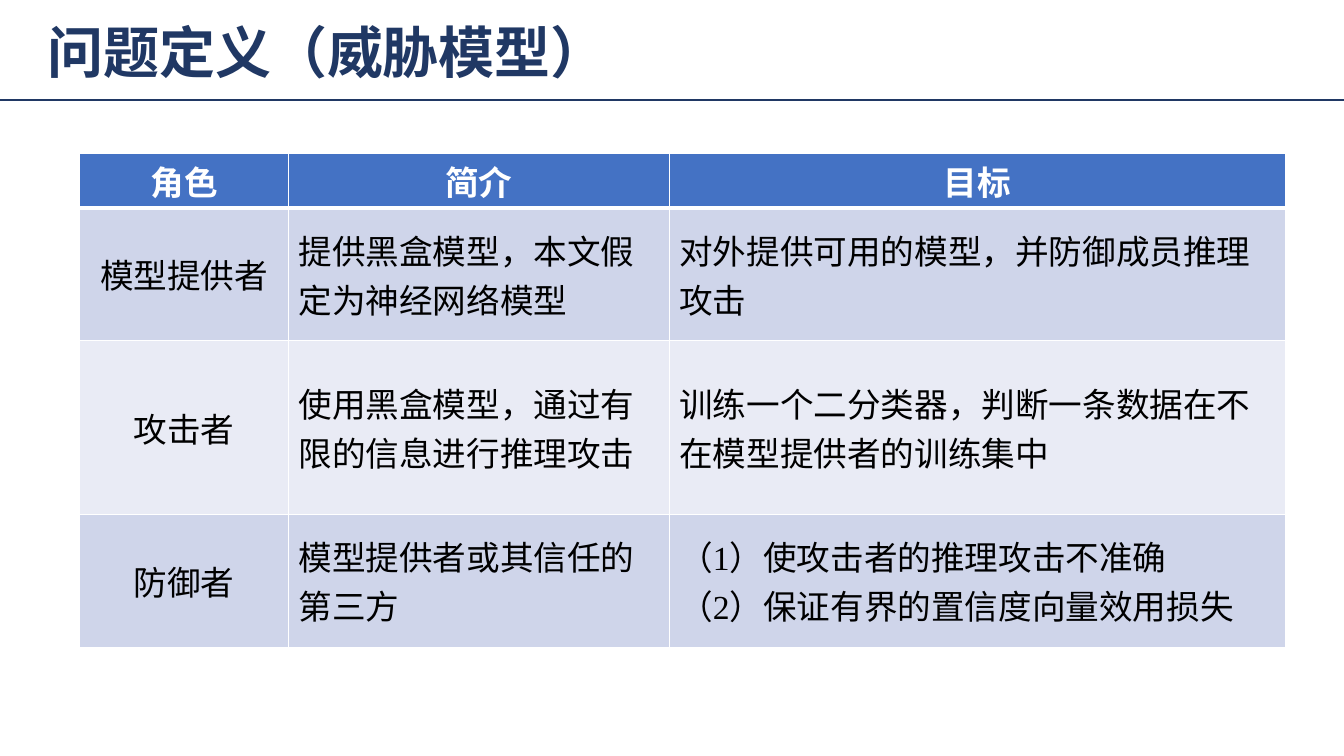
from lxml import etree
from pptx import Presentation
from pptx.dml.color import RGBColor
from pptx.enum import shapes, text
from pptx.oxml import ns
from pptx.util import Pt

TITLE = "问题定义（威胁模型）"
ROWS = [
    ("角色", "简介", "目标"),
    ("模型提供者", "提供黑盒模型，本文假定为神经网络模型",
     "对外提供可用的模型，并防御成员推理攻击"),
    ("攻击者", "使用黑盒模型，通过有限的信息进行推理攻击",
     "训练一个二分类器，判断一条数据在不在模型提供者的训练集中"),
    ("防御者", "模型提供者或其信任的第三方",
     "（1）使攻击者的推理攻击不准确\n（2）保证有界的置信度向量效用损失"),
]
COLS = [149, 272, 440]
HEIGHTS = [38.9, 95, 123.9, 95]
LEFT, TOP = 57, 109.5
WIDTH, HEIGHT = 960, 540
RULE_Y = 71.3

CJK, LATIN = "Noto Sans CJK SC", "Times New Roman"
NAVY = RGBColor(0x20, 0x38, 0x64)
BLUE = RGBColor(0x44, 0x72, 0xC4)
BAND = RGBColor(0xCF, 0xD5, 0xEA)
PALE = RGBColor(0xE9, 0xEB, 0xF5)
WHITE = RGBColor(0xFF, 0xFF, 0xFF)
BLACK = RGBColor(0, 0, 0)


def add_run(p, words, size, color, bold, latin=CJK):
    r = p.add_run()
    r.text = words
    r.font.size, r.font.bold, r.font.name = Pt(size), bold, latin
    r.font.color.rgb = color
    ea = etree.SubElement(r.font._element, ns.qn("a:ea"))
    ea.set("typeface", CJK)


def set_borders(cell, widths):
    tc_pr = cell._tc.get_or_add_tcPr()
    for i, (side, width) in enumerate(widths.items()):
        ln = etree.Element(ns.qn("a:ln" + side), w=str(Pt(width)))
        fill = etree.SubElement(ln, ns.qn("a:solidFill"))
        etree.SubElement(fill, ns.qn("a:srgbClr"), val=str(WHITE))
        tc_pr.insert(i, ln)


def fill_cell(cell, words, row, col):
    header = row == 0
    cell.fill.solid()
    cell.fill.fore_color.rgb = BLUE if header else (BAND if row % 2 else PALE)
    cell.vertical_anchor = text.MSO_ANCHOR.MIDDLE
    if header:
        cell.margin_top = cell.margin_bottom = Pt(2)
    p = cell.text_frame.paragraphs[0]
    p.alignment = text.PP_ALIGN.CENTER if header or col == 0 else text.PP_ALIGN.LEFT
    latin = LATIN if "\n" in words else CJK
    for i, line in enumerate(words.split("\n")):
        if i:
            p.add_line_break()
        add_run(p, line, 24, WHITE if header else BLACK, header, latin)
    set_borders(cell, {"L": 1, "R": 1, "T": 3 if row == 1 else 1, "B": 3 if header else 1})


def main():
    prs = Presentation()
    prs.slide_width, prs.slide_height = Pt(WIDTH), Pt(HEIGHT)
    s = prs.slides.add_slide(prs.slide_layouts[5])

    title = s.shapes.title
    title.left, title.top, title.width, title.height = Pt(26.6), Pt(8.6), Pt(930), Pt(55.7)
    tf = title.text_frame
    tf.word_wrap = True
    tf.auto_size = text.MSO_AUTO_SIZE.NONE
    tf.vertical_anchor = text.MSO_ANCHOR.MIDDLE
    p = tf.paragraphs[0]
    p.alignment = text.PP_ALIGN.LEFT
    add_run(p, TITLE, 40, NAVY, True)

    rule = s.shapes.add_connector(
        shapes.MSO_CONNECTOR.STRAIGHT, Pt(0), Pt(RULE_Y), Pt(WIDTH), Pt(RULE_Y))
    rule.line.color.rgb, rule.line.width = NAVY, Pt(1.5)
    etree.SubElement(rule._element.spPr, ns.qn("a:effectLst"))

    table = s.shapes.add_table(
        len(ROWS), len(COLS), Pt(LEFT), Pt(TOP), Pt(sum(COLS)), Pt(sum(HEIGHTS))).table
    for column, width in zip(table.columns, COLS):
        column.width = Pt(width)
    for row, (height, entries) in enumerate(zip(HEIGHTS, ROWS)):
        table.rows[row].height = Pt(height)
        for col, words in enumerate(entries):
            fill_cell(table.cell(row, col), words, row, col)

    prs.save("out.pptx")


if __name__ == "__main__":
    main()
